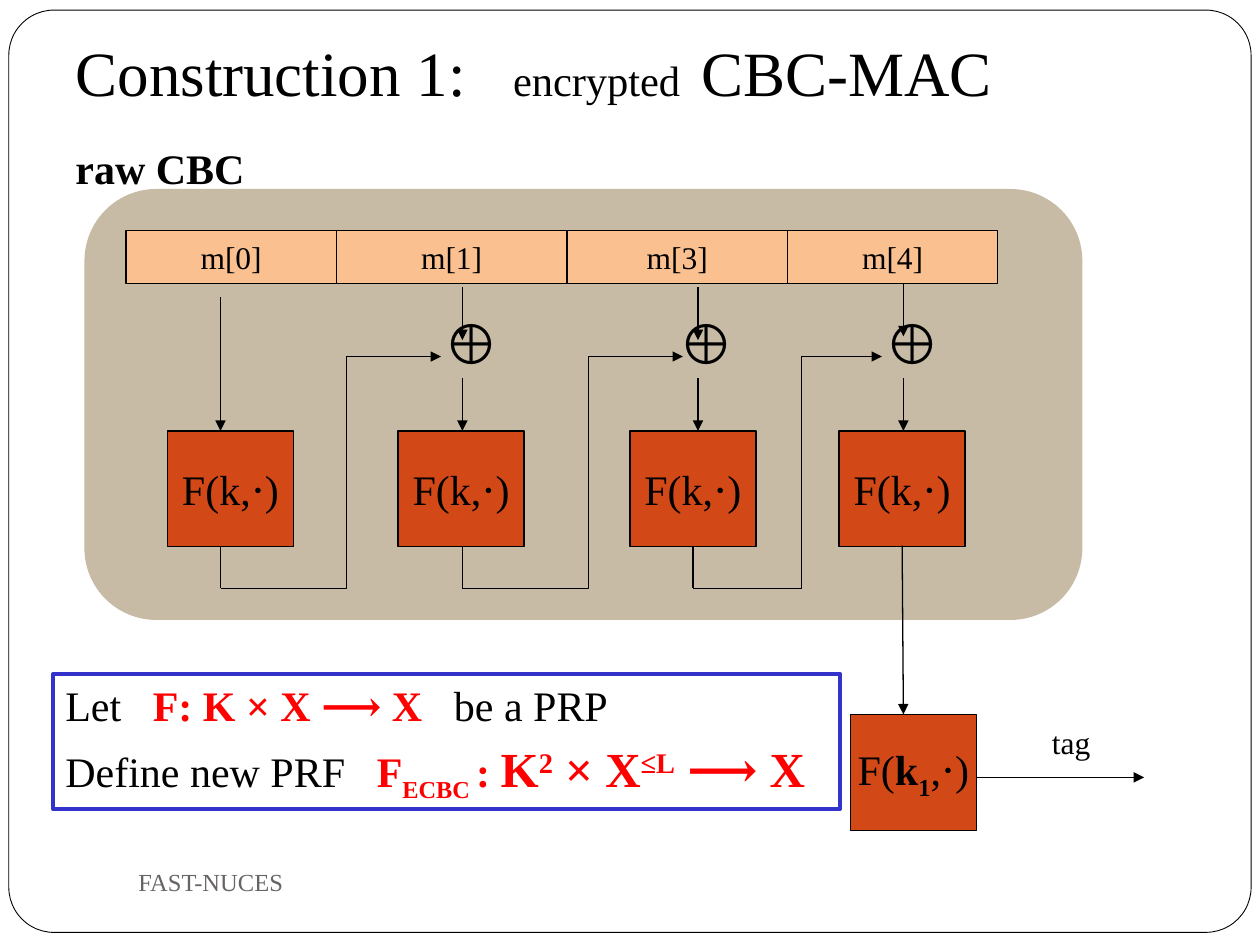
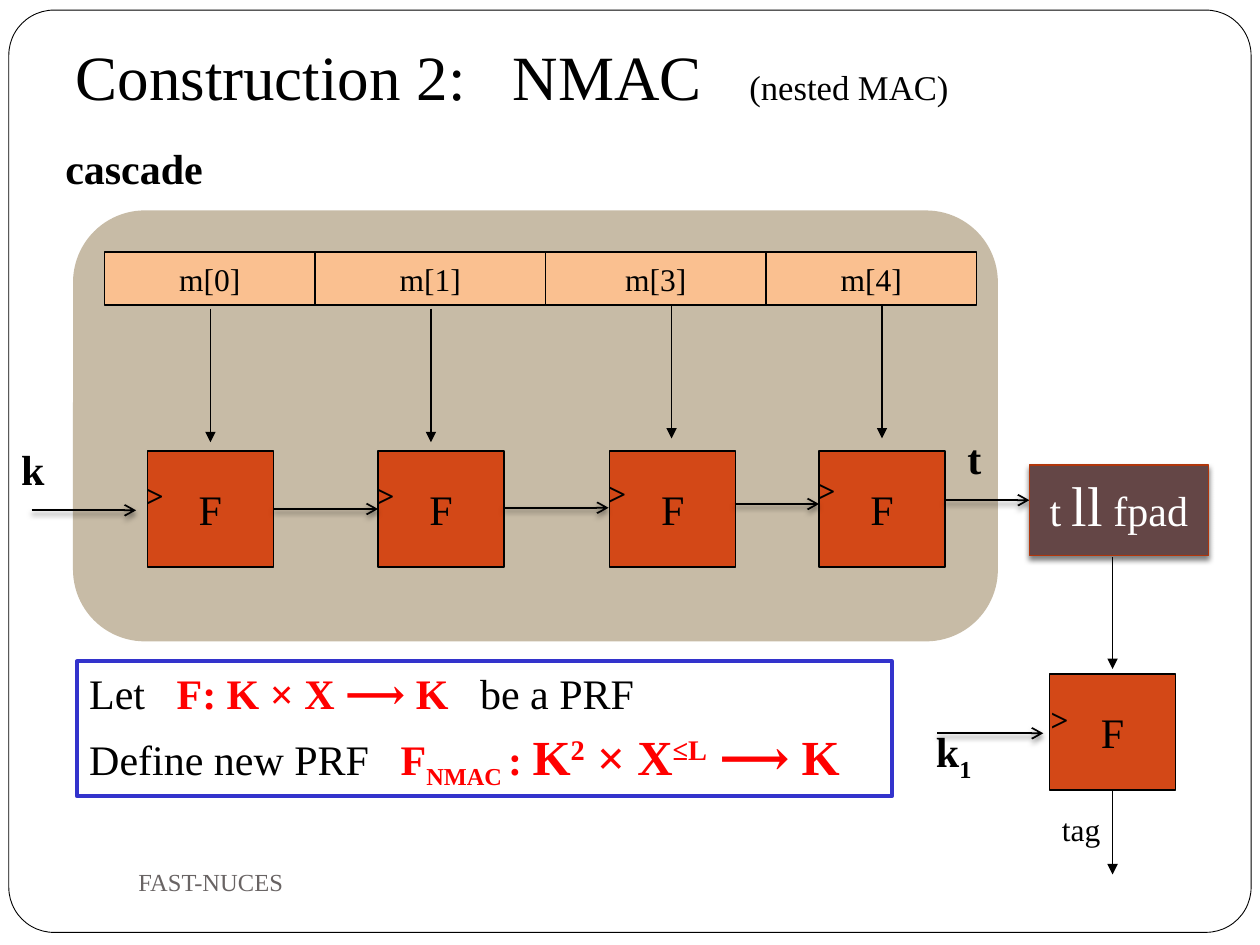
"""Build two slides on MAC constructions: encrypted CBC-MAC and NMAC."""
from lxml import etree
from pptx import Presentation
from pptx.dml.color import RGBColor
from pptx.enum import shapes, text
from pptx.oxml.ns import qn
from pptx.util import Inches, Pt

FONT = "Times New Roman"
BLACK = RGBColor(0x00, 0x00, 0x00)
WHITE = RGBColor(0xFF, 0xFF, 0xFF)
RED = RGBColor(0xFF, 0x00, 0x00)
GRAY = RGBColor(0x69, 0x64, 0x64)
BLUE = RGBColor(0x33, 0x33, 0xCC)
TAN = RGBColor(0xC7, 0xBB, 0xA6)
PEACH = RGBColor(0xFA, 0xC0, 0x90)
ORANGE = RGBColor(0xD3, 0x48, 0x17)
RUST = RGBColor(0xB1, 0x36, 0x0B)
PLUM = RGBColor(0x64, 0x46, 0x46)

RECT = shapes.MSO_SHAPE.RECTANGLE
ROUND = shapes.MSO_SHAPE.ROUNDED_RECTANGLE
STRAIGHT = shapes.MSO_CONNECTOR.STRAIGHT
MIDDLE = text.MSO_ANCHOR.MIDDLE


def stroke(sp, width=0.75, color=BLACK, head=None, shadow=False):
    """Set the outline, arrowhead and shadow of a shape or connector."""
    if color is None:
        sp.line.fill.background()
    else:
        sp.line.color.rgb = color
        sp.line.width = Pt(width)
    spPr = sp.element.spPr
    if head:
        etree.SubElement(spPr.find(qn("a:ln")), qn("a:tailEnd"), type=head)
    effects = spPr.find(qn("a:effectLst"))
    if effects is None:
        effects = etree.SubElement(spPr, qn("a:effectLst"))
    if shadow:
        shd = etree.SubElement(effects, qn("a:outerShdw"), blurRad="38100",
                               dist="25400", dir="5400000", rotWithShape="0")
        clr = etree.SubElement(shd, qn("a:srgbClr"), val="000000")
        etree.SubElement(clr, qn("a:alpha"), val="50000")
    return sp


def write(sp, paras, size=24, color=BLACK, bold=False, align=None,
          anchor=MIDDLE, wrap=False, grow=False, before=0):
    """Fill a shape with paragraphs of (text, overrides) runs."""
    tf = sp.text_frame
    tf.word_wrap = wrap
    tf.vertical_anchor = anchor
    tf.auto_size = (text.MSO_AUTO_SIZE.SHAPE_TO_FIT_TEXT if grow
                    else text.MSO_AUTO_SIZE.NONE)
    for i, runs in enumerate(paras):
        p = tf.add_paragraph() if i else tf.paragraphs[0]
        p.alignment = align
        p.space_before = Pt(before)
        p.font.name, p.font.size, p.font.bold = FONT, Pt(size), bold
        p.font.color.rgb = color
        for words, look in runs:
            r = p.add_run()
            r.text = words
            if "size" in look:
                r.font.size = Pt(look["size"])
            if "bold" in look:
                r.font.bold = look["bold"]
            if "color" in look:
                r.font.color.rgb = look["color"]
            if "base" in look:
                r._r.get_or_add_rPr().set("baseline", str(look["base"] * 1000))


prs = Presentation()
prs.slide_width, prs.slide_height = Inches(10), Inches(7.5)
layout = prs.slide_layouts[5]

SLIDES = [
    dict(title=[("Construction 1:   ", {}), ("encrypted", {"size": 24.3}),
                (" ", {"size": 47.7}), ("CBC-MAC", {})],
         heading="raw CBC", heading_x=0.5, panel=(0.67, 1.5, 7.92, 3.42),
         cells=(1, 1.83), blocks=(1.33, 3.42), label="F(k,⋅)",
         last=(6.75, 5.67),
         last_runs=[("F(", {}), ("k", {"bold": True}),
                    ("1", {"bold": True, "base": -25}), (",⋅)", {})],
         formula=(0.42, 5.35, 6.25, 1.07), name="ECBC ", kind="PRP", out="X"),
    dict(title=[("Construction 2:   NMAC   ", {}),
                ("(nested MAC)", {"size": 19.8})],
         heading="cascade", heading_x=0.42, panel=(0.58, 1.67, 7.34, 3.42),
         cells=(0.83, 2), blocks=(1.17, 3.58), label="F",
         last=(8.33, 5.35), last_runs=[("F", {})],
         formula=(0.61, 5.25, 6.47, 1.07), name="NMAC ", kind="PRF", out="K"),
]
CELLS = [("m[0]", 1.67), ("m[1]", 1.83), ("m[3]", 1.75), ("m[4]", 1.67)]
BLOCK_STEPS = [0, 1.83, 3.67, 5.33]

made = []
for d in SLIDES:
    s = prs.slides.add_slide(layout)
    made.append(s)

    sp = s.shapes.title
    sp.left, sp.top, sp.width, sp.height = map(Inches, (0.5, 0.25, 9, 0.75))
    write(sp, [d["title"]], 36, align=text.PP_ALIGN.LEFT,
          anchor=text.MSO_ANCHOR.BOTTOM, wrap=True)
    tf = sp.text_frame
    tf.margin_left = tf.margin_right = tf.margin_bottom = Inches(0.1)
    tf.margin_top = Inches(0.05)

    panel = stroke(s.shapes.add_shape(ROUND, *map(Inches, d["panel"])), color=None)
    panel.fill.solid()
    panel.fill.fore_color.rgb = TAN

    boxes = []
    x, y = d["cells"]
    for label, w in CELLS:
        boxes.append((x, y, w, 0.42, [(label, {})], 18, PEACH))
        x += w
    x, y = d["blocks"]
    for step in BLOCK_STEPS:
        boxes.append((x + step, y, 1, 0.92, [(d["label"], {})], 24, ORANGE))
    boxes.append((*d["last"], 1, 0.92, d["last_runs"], 24, ORANGE))
    for x, y, w, h, runs, size, fill in boxes:
        sp = stroke(s.shapes.add_shape(RECT, *map(Inches, (x, y, w, h))))
        sp.fill.solid()
        sp.fill.fore_color.rgb = fill
        write(sp, [runs], size, align=text.PP_ALIGN.CENTER)

    red = {"color": RED, "bold": True}
    big = {**red, "size": 28}
    sp = stroke(s.shapes.add_shape(RECT, *map(Inches, d["formula"])), 2.25, BLUE)
    sp.fill.background()
    write(sp, [
        [("Let   ", {}), (f"F: K × X ⟶ {d['out']}   ", red),
         (f"be a {d['kind']}", {})],
        [("Define new PRF   ", {}), ("F", red), (d["name"], {**red, "base": -25}),
         (": ", red), ("K", big), ("2", {**big, "base": 30}), (" × X", big),
         ("≤L", {**big, "base": 30}), (f" ⟶ {d['out']}", big)],
    ], align=text.PP_ALIGN.LEFT, wrap=True, grow=True, before=5)

    sp = s.shapes.add_textbox(*map(Inches, (1, 6.75, 4.33, 0.5)))
    write(sp, [[("FAST-NUCES", {})]], 14, GRAY, wrap=True)

cbc, nmac = made

frame = stroke(cbc.shapes.add_shape(ROUND, *map(Inches, (0.07, 0.08, 9.86, 7.32))), 0.5)
frame.adjustments[0] = 0.049
frame.fill.solid()
frame.fill.fore_color.rgb = WHITE
frame.element.nvSpPr.cNvPr.set("id", "99")
layout.shapes.element.insert(2, frame.element)

LABELS = [
    (cbc, 0.5, 1.08, 1.61, 0.51, [("raw CBC", {})], 24, True),
    (cbc, 8.25, 5.69, 0.55, 0.4, [("tag", {})], 18, False),
    (nmac, 0.42, 1.08, 1.53, 0.51, [("cascade", {})], 24, True),
    (nmac, 8.33, 6.38, 0.55, 0.4, [("tag", {})], 18, False),
    (nmac, 0.07, 3.47, 0.39, 0.5, [("k", {})], 24, True),
    (nmac, 7.58, 3.38, 0.31, 0.5, [("t", {})], 24, True),
    (nmac, 7.33, 5.71, 0.51, 0.5, [("k", {}), ("1", {"base": -25})], 24, True),
]
for x in (3.42, 5.29, 6.92):
    LABELS.append((cbc, x, 2.4, 0.55, 0.64, [("⊕", {})], 32, False))
for x, y in ((1.06, 3.73), (2.89, 3.73), (4.73, 3.71), (6.39, 3.69), (8.24, 5.51)):
    LABELS.append((nmac, x, y, 0.35, 0.4, [(">", {})], 18, True))
for s, x, y, w, h, runs, size, bold in LABELS:
    sp = s.shapes.add_textbox(*map(Inches, (x, y, w, h)))
    write(sp, [runs], size, bold=bold, anchor=text.MSO_ANCHOR.TOP, grow=True)

LINES = [
    (cbc, 1.75, 2.36, 1.75, 3.42, "triangle"),
    (cbc, 7.16, 4.33, 7.17, 5.67, "triangle"),
    (cbc, 7.75, 6.17, 9.08, 6.17, "triangle"),
    (nmac, 8.83, 4.42, 8.83, 5.31, "triangle"),
    (nmac, 8.83, 6.27, 8.83, 6.94, "triangle"),
]
for x, y in ((3.67, 2.28), (5.54, 2.28), (7.17, 2.25)):
    LINES.append((cbc, x, y, x, y + 0.42, "triangle"))
    LINES.append((cbc, x, 3, x, 3.42, "triangle"))
for x in (1.75, 3.67, 5.5):
    LINES.append((cbc, x, 4.33, x, 4.67, None))
for x, y in ((1.67, 2.45), (3.42, 2.45), (5.33, 2.42), (7, 2.42)):
    LINES.append((nmac, x, y, x, y + 1.06, "triangle"))
for x1, x2, y in ((0.25, 1.08, 4.05), (2.17, 3, 4.04), (4, 4.83, 4.03),
                  (5.83, 6.5, 4), (7.5, 8.17, 3.97), (7.44, 8.28, 5.82)):
    LINES.append((nmac, x1, y, x2, y, "arrow"))
for s, x1, y1, x2, y2, head in LINES:
    sp = s.shapes.add_connector(STRAIGHT, *map(Inches, (x1, y1, x2, y2)))
    chained = head == "arrow"
    stroke(sp, 1 if chained else 0.75, head=head, shadow=chained)

for x1, x2, x3 in ((1.75, 2.75, 3.5), (3.67, 4.67, 5.42), (5.5, 6.36, 7)):
    fb = cbc.shapes.build_freeform(Inches(x1), Inches(4.67))
    fb.add_line_segments([(Inches(x), Inches(y)) for x, y in
                          ((x2, 4.67), (x2, 2.83), (x3, 2.83))], close=False)
    sp = stroke(fb.convert_to_shape(), head="triangle")
    sp.fill.background()

sp = nmac.shapes.add_shape(RECT, *map(Inches, (8.17, 3.69, 1.42, 0.72)))
sp.fill.solid()
sp.fill.fore_color.rgb = PLUM
stroke(sp, color=RUST, shadow=True)
write(sp, [[("t ", {}), ("ll", {"size": 32}), (" fpad", {})]], color=WHITE,
      align=text.PP_ALIGN.CENTER, wrap=True)
sp.text_frame.margin_bottom = Inches(0.15)

prs.save("out.pptx")
